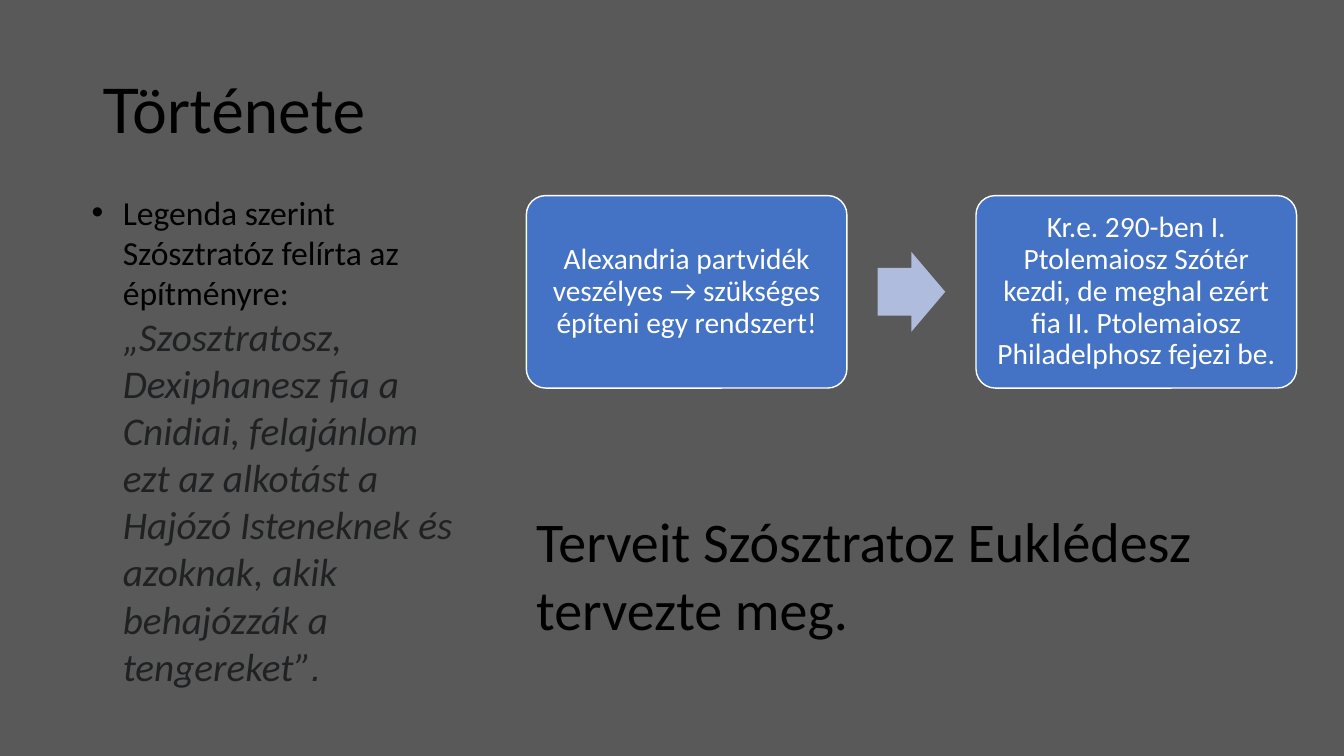
import pptx
import pptx.util
import pptx.dml.color
import pptx.enum.shapes
import pptx.enum.text
import lxml.etree

Inches, Pt = pptx.util.Inches, pptx.util.Pt
RGB = pptx.dml.color.RGBColor
SHAPE = pptx.enum.shapes.MSO_SHAPE
ALIGN = pptx.enum.text.PP_ALIGN
ANCHOR = pptx.enum.text.MSO_ANCHOR

# Content
TITLE = "Története"
STEPS = [
    "Alexandria partvidék veszélyes → szükséges építeni egy rendszert!",
    "Kr.e. 290-ben I. Ptolemaiosz Szótér kezdi, de meghal ezért "
    "fia II. Ptolemaiosz Philadelphosz fejezi be.",
]
DESIGNER = "Terveit Szósztratoz Euklédesz tervezte meg."
LEGEND = "Legenda szerint Szósztratóz felírta az építményre: "
INSCRIPTION = ("„Szosztratosz, Dexiphanesz fia a Cnidiai, felajánlom ezt az alkotást a "
               "Hajózó Isteneknek és azoknak, akik behajózzák a tengereket”")

# Colours
BACKGROUND = RGB(0x59, 0x59, 0x59)
BLACK = RGB(0, 0, 0)
WHITE = RGB(0xFF, 0xFF, 0xFF)
BLUE = RGB(0x44, 0x72, 0xC4)
PALE_BLUE = RGB(0xB0, 0xBC, 0xDE)
QUOTE = RGB(0x20, 0x21, 0x22)

# Layout in inches
STEP_X, STEP_Y, STEP_W, STEP_H, STEP_PITCH = 5.22, 1.94, 3.18, 1.91, 4.46
ARROW_W, ARROW_H = 0.67, 0.79


def add_run(p, text, size=24, font="Calibri", color=BLACK, italic=False):
    r = p.add_run()
    r.text = text
    r.font.size, r.font.name = Pt(size), font
    r.font.color.rgb, r.font.italic = color, italic


def add_box(s, x, y, w, h, anchor=ANCHOR.TOP):
    tf = s.shapes.add_textbox(Inches(x), Inches(y), Inches(w), Inches(h)).text_frame
    tf.word_wrap, tf.vertical_anchor = True, anchor
    return tf.paragraphs[0]


def add_preset(s, kind, x, y, w, h, fill, adjustments):
    sp = s.shapes.add_shape(kind, Inches(x), Inches(y), Inches(w), Inches(h))
    sp.shadow.inherit = False
    sp.fill.solid()
    sp.fill.fore_color.rgb = fill
    sp.line.fill.background()
    for i, value in enumerate(adjustments):
        sp.adjustments[i] = value
    return sp


def add_bullet(p, indent):
    pPr = p._p.get_or_add_pPr()
    pPr.set("marL", str(Inches(indent)))
    pPr.set("indent", str(-Inches(indent)))
    for tag, key, value in (("a:buFont", "typeface", "Arial"), ("a:buChar", "char", "•")):
        lxml.etree.SubElement(pPr, pptx.oxml.ns.qn(tag)).set(key, value)


def main():
    prs = pptx.Presentation()
    prs.slide_width, prs.slide_height = Inches(13.33), Inches(7.5)
    s = prs.slides.add_slide(prs.slide_layouts[6])
    s.background.fill.solid()
    s.background.fill.fore_color.rgb = BACKGROUND

    # Title
    p = add_box(s, 0.92, 0.4, 11.5, 1.45, ANCHOR.MIDDLE)
    p.line_spacing = 0.9
    add_run(p, TITLE, size=44, font="Lato")

    # Steps, with an arrow centred in each gap
    for i, text in enumerate(STEPS):
        x = STEP_X + i * STEP_PITCH
        if i:
            gap = STEP_PITCH - STEP_W
            add_preset(s, SHAPE.RIGHT_ARROW, x - (gap + ARROW_W) / 2,
                       STEP_Y + (STEP_H - ARROW_H) / 2, ARROW_W, ARROW_H,
                       PALE_BLUE, (0.6, 0.5))
        sp = add_preset(s, SHAPE.ROUNDED_RECTANGLE, x, STEP_Y, STEP_W, STEP_H, BLUE, (0.1,))
        sp.line.color.rgb, sp.line.width = WHITE, Pt(1)
        tf = sp.text_frame
        tf.word_wrap, tf.vertical_anchor = True, ANCHOR.MIDDLE
        tf.margin_left = tf.margin_right = tf.margin_top = tf.margin_bottom = Inches(0.09)
        p = tf.paragraphs[0]
        p.alignment, p.line_spacing = ALIGN.CENTER, 0.9
        add_run(p, text, size=21, color=WHITE)

    # Designer
    add_run(add_box(s, STEP_X, 4.98, 7.64, 1.45), DESIGNER, size=40)

    # Legend and inscription
    p = add_box(s, 0.81, 1.85, 3.82, 5.08)
    add_bullet(p, 0.31)
    add_run(p, LEGEND)
    add_run(p, INSCRIPTION, size=28, color=QUOTE, italic=True)
    add_run(p, ".", size=28, font="Arial", color=QUOTE, italic=True)

    prs.save("out.pptx")


if __name__ == "__main__":
    main()
